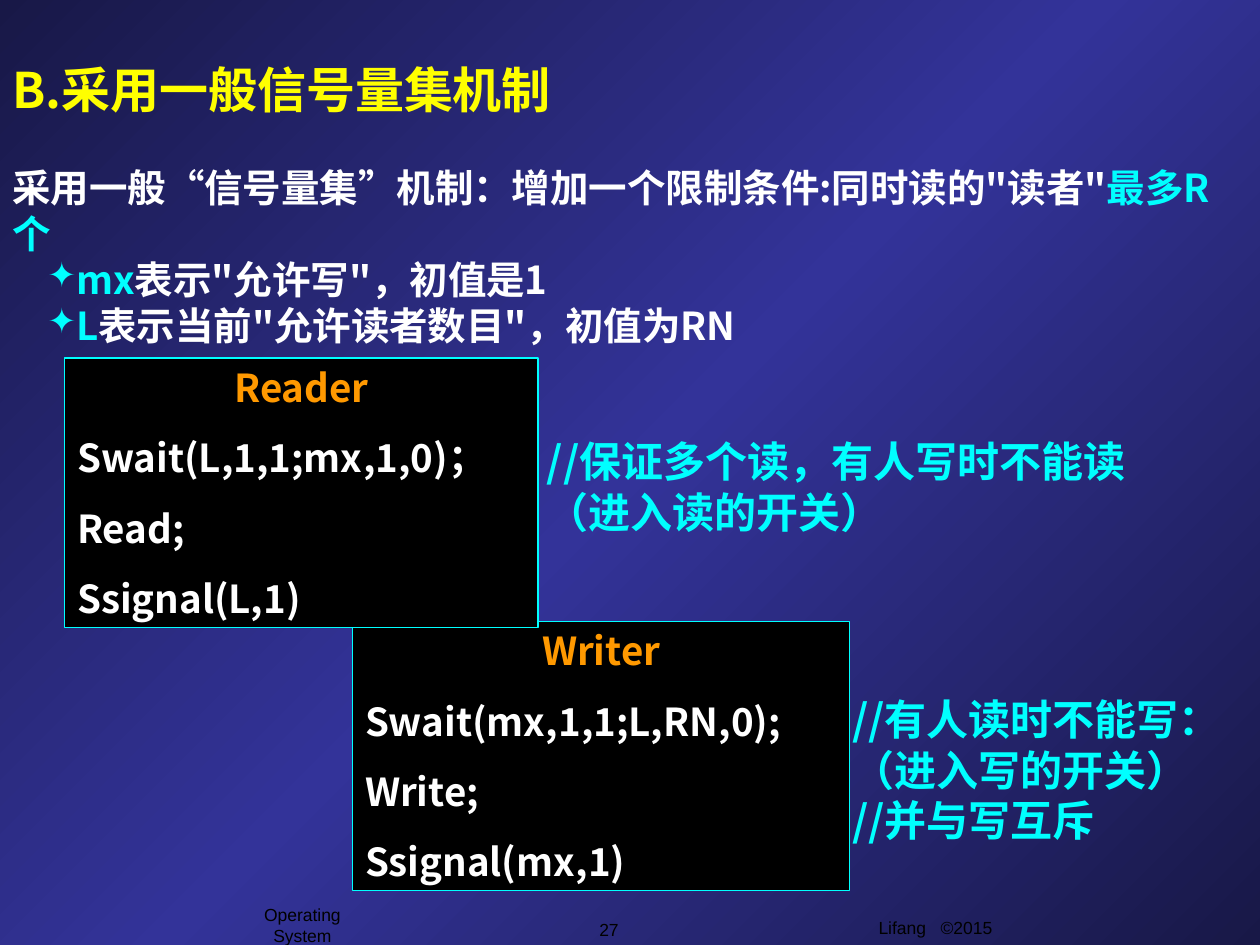
from lxml import etree
from pptx import Presentation
from pptx.dml.color import RGBColor
from pptx.enum.shapes import MSO_SHAPE as Shape
from pptx.enum.text import MSO_ANCHOR as Anchor, PP_ALIGN as Align
from pptx.oxml.ns import qn
from pptx.util import Pt

NAVY = RGBColor(0x18, 0x18, 0x47)
INDIGO = RGBColor(0x33, 0x33, 0x99)
BLACK = RGBColor(0, 0, 0)
WHITE = RGBColor(0xFF, 0xFF, 0xFF)
CYAN = RGBColor(0, 0xFF, 0xFF)
ORANGE = RGBColor(0xFF, 0x99, 0)
YELLOW = RGBColor(0xFF, 0xFF, 0)
CJK = "Noto Sans CJK SC"
LATIN = "Times New Roman"
LINE_RATIO = 1.2


def set_background(s):
    fill = s.background.fill
    fill.gradient()
    fill.gradient_angle = 315
    stops = s._element.find(".//" + qn("a:gsLst"))
    for stop in list(stops):
        stops.remove(stop)
    for pos, color in ((0, NAVY), (50, INDIGO), (100, NAVY)):
        stop = etree.SubElement(stops, qn("a:gs"), pos=str(pos * 1000))
        etree.SubElement(stop, qn("a:srgbClr"), val=str(color))


def add_run(p, text, size, color, font=CJK):
    r = p.add_run()
    r.text = text
    r.font.size = Pt(size)
    r.font.name = font
    r.font.bold = font != "Arial"
    r.font.color.rgb = color
    if r.font.bold:
        latin = r._r.rPr.find(qn("a:latin"))
        latin.addnext(latin.makeelement(qn("a:ea"), {"typeface": CJK}))
        p.line_spacing = Pt(round(size * LINE_RATIO, 1))


def add_bullet(p):
    pPr = p._p.get_or_add_pPr()
    pPr.set("lvl", "1")
    pPr.set("marL", str(Pt(36)))
    pPr.set("indent", str(-Pt(16)))
    color = etree.SubElement(pPr, qn("a:buClr"))
    etree.SubElement(color, qn("a:srgbClr"), val=str(CYAN))
    etree.SubElement(pPr, qn("a:buSzPct"), val="90000")
    etree.SubElement(pPr, qn("a:buChar"), char="✦")


def add_text(s, box, lines, size, color, font=CJK, align=Align.LEFT,
             anchor=Anchor.TOP, wrap=True):
    tf = s.shapes.add_textbox(*map(Pt, box)).text_frame
    tf.word_wrap = wrap
    tf.vertical_anchor = anchor
    for i, line in enumerate(lines):
        p = tf.add_paragraph() if i else tf.paragraphs[0]
        p.alignment = align
        add_run(p, line, size, color, font)
    return tf


def add_code_box(s, box, heading, code):
    sp = s.shapes.add_shape(Shape.RECTANGLE, *map(Pt, box))
    sp.shadow.inherit = False
    sp.fill.solid()
    sp.fill.fore_color.rgb = BLACK
    sp.line.color.rgb = CYAN
    sp.line.width = Pt(0.75)
    tf = sp.text_frame
    tf.word_wrap = True
    tf.vertical_anchor = Anchor.TOP
    p = tf.paragraphs[0]
    p.alignment = Align.CENTER
    add_run(p, heading, 22, ORANGE)
    for line in code:
        p = tf.add_paragraph()
        p.alignment = Align.LEFT
        p.space_before = Pt(13.8)
        add_run(p, line, 22, WHITE)


def add_explanation(s):
    tf = add_text(s, (0, 90, 720, 113), ["采用一般"], 22, WHITE)
    p = tf.paragraphs[0]
    for text, color, font in (
        ("“", WHITE, LATIN),
        ("信号量集", WHITE, CJK),
        ("”", WHITE, LATIN),
        ("机制：增加一个限制条件:同时读的\"读者\"", WHITE, CJK),
        ("最多R个", CYAN, CJK),
    ):
        add_run(p, text, 22, color, font)
    for name, meaning in (
        ("mx", "表示\"允许写\"，初值是1"),
        ("L", "表示当前\"允许读者数目\"，初值为RN"),
    ):
        p = tf.add_paragraph()
        add_bullet(p)
        add_run(p, name, 22, CYAN)
        add_run(p, meaning, 22, WHITE)


def add_footer(s):
    for box, text, anchor in (
        ((420.5, 520.5, 228, 25), "Lifang   ©2015", Anchor.TOP),
        ((318, 521.5, 60, 19.5), "27", Anchor.MIDDLE),
        ((126, 519, 93.6, 19.5), "Operating System", Anchor.MIDDLE),
    ):
        add_text(s, box, [text], 10, BLACK, "Arial", Align.CENTER, anchor,
                 wrap=anchor == Anchor.TOP)


def main():
    prs = Presentation()
    prs.slide_width, prs.slide_height = Pt(720), Pt(540)
    s = prs.slides.add_slide(prs.slide_layouts[6])
    set_background(s)
    add_footer(s)
    add_code_box(s, (201.5, 355, 284, 154), "Writer",
                 ["Swait(mx,1,1;L,RN,0);", "Write;", "Ssignal(mx,1)"])
    add_code_box(s, (37, 204.5, 270.5, 154), "Reader",
                 ["Swait(L,1,1;mx,1,0)；", "Read;", "Ssignal(L,1)"])
    add_explanation(s)
    add_text(s, (0, 29.5, 612, 42.5), ["B.采用一般信号量集机制"], 28, YELLOW,
             anchor=Anchor.MIDDLE)
    add_text(s, (305.5, 245.5, 354, 65),
             ["//保证多个读，有人写时不能读（进入读的开关）"], 24, CYAN)
    add_text(s, (480, 393, 241, 94),
             ["//有人读时不能写：", "（进入写的开关）", "//并与写互斥"],
             24, CYAN, wrap=False)
    prs.save("out.pptx")


if __name__ == "__main__":
    main()
